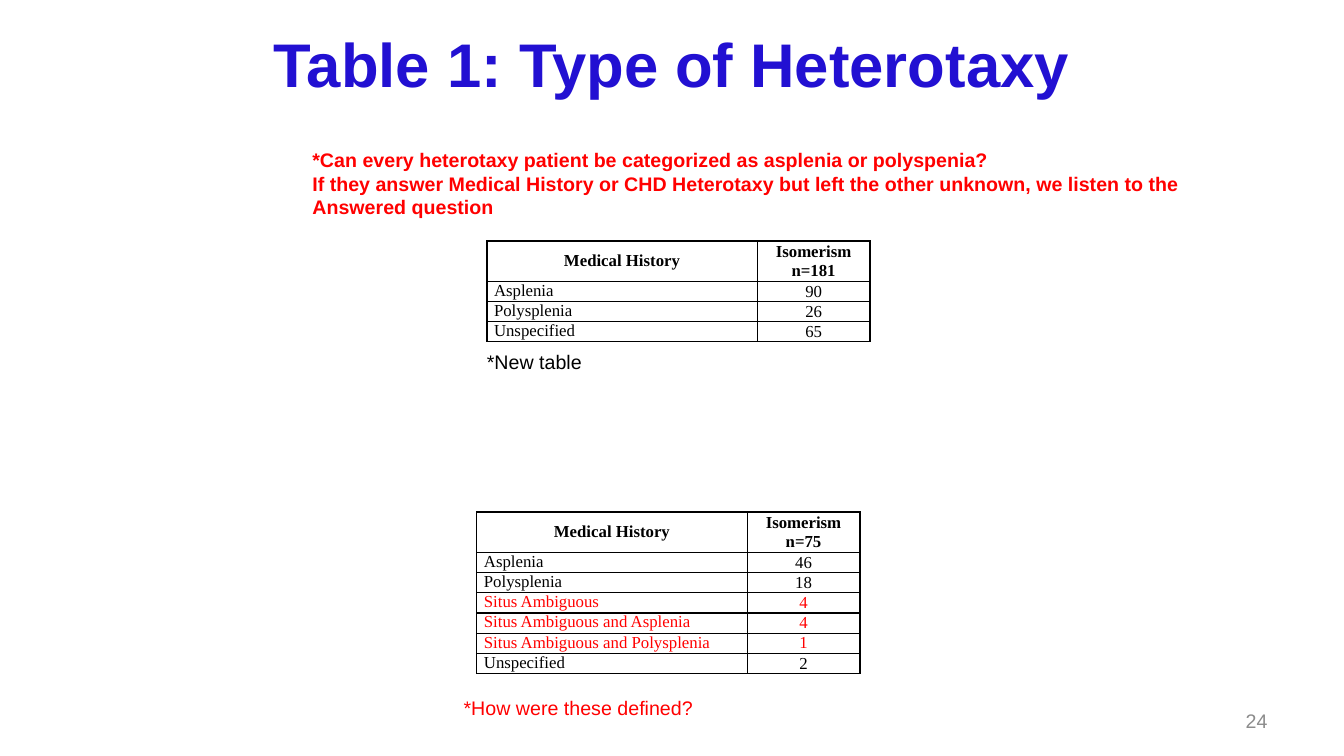
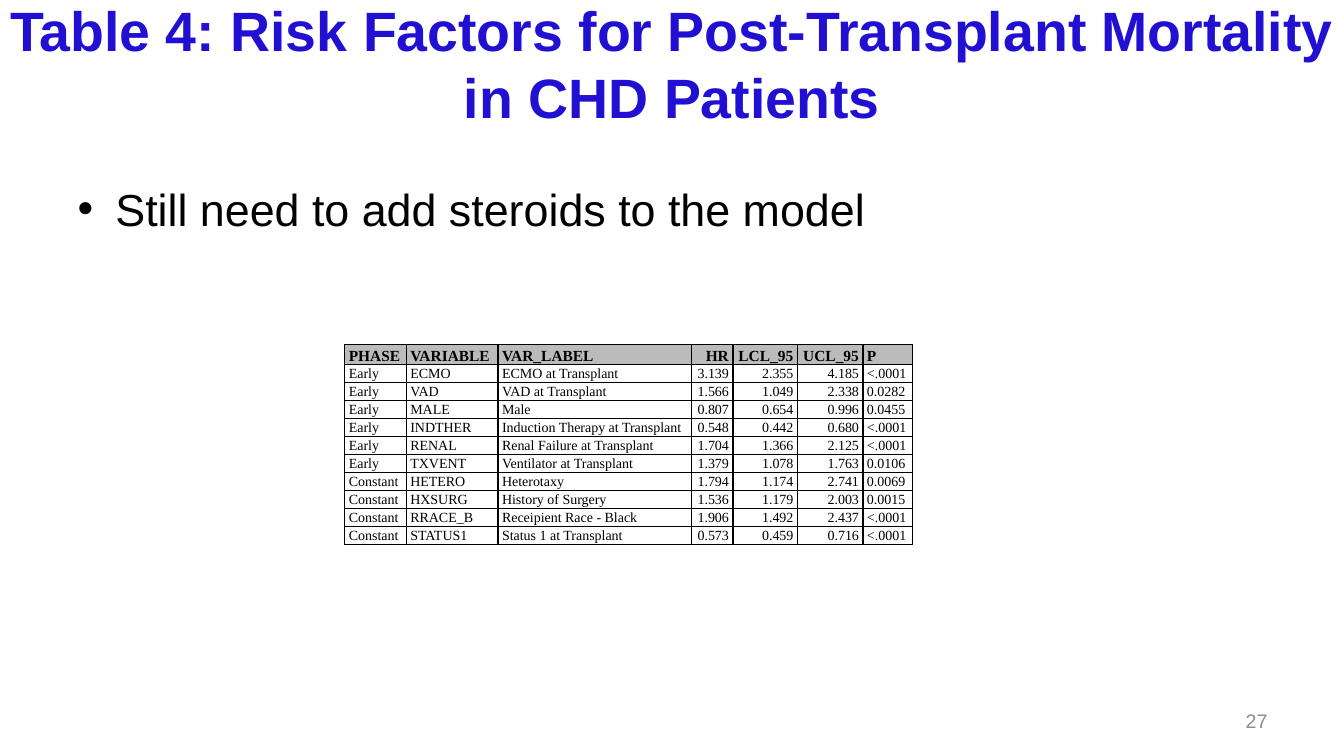
from pptx import Presentation, util as u
from pptx.dml.color import RGBColor
from pptx.enum import text
from pptx.oxml.ns import qn
from lxml import etree

PX = 9144
WIDE, HIGH = 1333, 750
BLUE = RGBColor(0x22, 0x10, 0xD2)
RED = RGBColor(0xFF, 0, 0)
BLACK = RGBColor(0, 0, 0)
WHITE = RGBColor(0xFF, 0xFF, 0xFF)
GREY = RGBColor(0x8C, 0x8C, 0x8C)
SILVER = RGBColor(0xBB, 0xBB, 0xBB)
SANS, SERIF = "Arial", "Times New Roman"
LEFT, MID, RIGHT = text.PP_ALIGN.LEFT, text.PP_ALIGN.CENTER, text.PP_ALIGN.RIGHT
ANCHOR = text.MSO_ANCHOR

QUERY = [
    "*Can every heterotaxy patient be categorized as asplenia or polyspenia?",
    "If they answer Medical History or CHD Heterotaxy but left the other unknown, we listen to the",
    "Answered question",
]
NEW = [("Asplenia", "90"), ("Polysplenia", "26"), ("Unspecified", "65")]
OLD = [
    ("Asplenia", "46"),
    ("Polysplenia", "18"),
    ("Situs Ambiguous", "4"),
    ("Situs Ambiguous and Asplenia", "4"),
    ("Situs Ambiguous and Polysplenia", "1"),
    ("Unspecified", "2"),
]
RISKS = [
    ("PHASE", "VARIABLE", "VAR_LABEL", "HR", "LCL_95", "UCL_95", "P"),
    ("Early", "ECMO", "ECMO at Transplant", "3.139", "2.355", "4.185", "<.0001"),
    ("Early", "VAD", "VAD at Transplant", "1.566", "1.049", "2.338", "0.0282"),
    ("Early", "MALE", "Male", "0.807", "0.654", "0.996", "0.0455"),
    ("Early", "INDTHER", "Induction Therapy at Transplant", "0.548", "0.442", "0.680", "<.0001"),
    ("Early", "RENAL", "Renal Failure at Transplant", "1.704", "1.366", "2.125", "<.0001"),
    ("Early", "TXVENT", "Ventilator at Transplant", "1.379", "1.078", "1.763", "0.0106"),
    ("Constant", "HETERO", "Heterotaxy", "1.794", "1.174", "2.741", "0.0069"),
    ("Constant", "HXSURG", "History of Surgery", "1.536", "1.179", "2.003", "0.0015"),
    ("Constant", "RRACE_B", "Receipient Race - Black", "1.906", "1.492", "2.437", "<.0001"),
    ("Constant", "STATUS1", "Status 1 at Transplant", "0.573", "0.459", "0.716", "<.0001"),
]


def assign(item, values):
    for name, value in values.items():
        setattr(item, name, value)


def place(shape, box):
    names = ("left", "top", "width", "height")
    assign(shape, {name: size * PX for name, size in zip(names, box)})


def write(frame, lines, size, color=BLACK, face=SANS, bold=False, **form):
    for i, line in enumerate(lines):
        para = frame.paragraphs[0] if i == 0 else frame.add_paragraph()
        assign(para, form)
        run = para.add_run()
        run.text = line
        assign(run.font, {"size": u.Pt(size), "name": face, "bold": bold})
        run.font.color.rgb = color


def note(slide, box, lines, anchor=ANCHOR.TOP, **form):
    shape = slide.shapes.add_textbox(*(size * PX for size in box))
    assign(shape.text_frame, {"word_wrap": True, "vertical_anchor": anchor})
    write(shape.text_frame, lines, 14, **form)


def start(deck, layout, title, size, page):
    slide = deck.slides.add_slide(deck.slide_layouts[layout])
    head = slide.shapes.title
    place(head, (0, 0, WIDE, 125))
    assign(head.text_frame, {
        "auto_size": text.MSO_AUTO_SIZE.NONE, "word_wrap": True,
        "vertical_anchor": ANCHOR.MIDDLE,
        "margin_left": 5 * PX, "margin_right": 5 * PX,
    })
    write(head.text_frame, [title], size, BLUE, bold=True, alignment=MID)
    note(slide, (956, 695, 311, 40), [page], ANCHOR.MIDDLE, color=GREY, alignment=RIGHT)
    return slide


def border(cell):
    props = cell._tc.get_or_add_tcPr()
    for i, side in enumerate(("lnL", "lnR", "lnT", "lnB")):
        line = etree.Element(qn("a:" + side), w=str(u.Pt(1)))
        fill = etree.SubElement(line, qn("a:solidFill"))
        etree.SubElement(fill, qn("a:srgbClr"), val=str(BLACK))
        props.insert(i, line)


def grid(slide, left, top, cols, rows):
    box = (left, top, sum(cols), sum(rows))
    table = slide.shapes.add_table(len(rows), len(cols), *(size * PX for size in box)).table
    assign(table, {"first_row": False, "horz_banding": False})
    for col, width in zip(table.columns, cols):
        col.width = width * PX
    for row, height in zip(table.rows, rows):
        row.height = height * PX
    return table


def fill_cell(cell, lines, pad, anchor, back=None, **form):
    assign(cell, {
        "margin_left": pad * PX, "margin_right": pad * PX,
        "margin_top": 0, "margin_bottom": 0, "vertical_anchor": anchor,
    })
    if back is None:
        cell.fill.background()
    else:
        cell.fill.solid()
        cell.fill.fore_color.rgb = back
    border(cell)
    write(cell.text_frame, lines, face=SERIF, **form)


def history(slide, left, top, total, data):
    table = grid(slide, left, top, (268, 112), [37] + [18] * len(data))
    heads = (["Medical History"], ["Isomerism", "n=" + total])
    for c, lines in enumerate(heads):
        fill_cell(table.cell(0, c), lines, 7, ANCHOR.MIDDLE, size=12, bold=True, alignment=MID)
    for r, pair in enumerate(data, 1):
        color = RED if pair[0].startswith("Situs") else BLACK
        for c, value in enumerate(pair):
            fill_cell(table.cell(r, c), [value], 7, ANCHOR.MIDDLE if c else ANCHOR.TOP,
                      size=12, color=color, alignment=MID if c else LEFT)


def factors(slide, left, top):
    cols = (61, 91, 192, 41, 64, 65, 49)
    table = grid(slide, left, top, cols, [18] + [16] * (len(RISKS) - 1))
    for r, row in enumerate(RISKS):
        head = r == 0
        for c, value in enumerate(row):
            fill_cell(table.cell(r, c), [value], 4, ANCHOR.BOTTOM if head else ANCHOR.TOP,
                      SILVER if head else WHITE, size=11 if head else 10, bold=head,
                      alignment=RIGHT if 3 <= c <= 5 else LEFT, line_spacing=1.07,
                      space_before=u.Pt(3), space_after=u.Pt(3))


def types(deck):
    slide = start(deck, 5, "Table 1: Type of Heterotaxy", 44, "24")
    history(slide, 483, 239, "181", NEW)
    history(slide, 473, 508, "75", OLD)
    note(slide, (450, 685, 260, 34), ["*How were these defined?"], color=RED)
    note(slide, (300, 142, 900, 79), QUERY, color=RED, bold=True)
    note(slide, (473, 342, 130, 34), ["*New table"])


def risks(deck):
    title = "Table 4: Risk Factors for Post-Transplant Mortality in CHD Patients"
    slide = start(deck, 1, title, 39.6, "27")
    body = slide.placeholders[1]
    place(body, (67, 175, 1200, 495))
    write(body.text_frame, ["Still need to add steroids to the model"], 32)
    factors(slide, 342, 342)


def main():
    deck = Presentation()
    assign(deck, {"slide_width": WIDE * PX, "slide_height": HIGH * PX})
    types(deck)
    risks(deck)
    deck.save("out.pptx")


if __name__ == "__main__":
    main()
